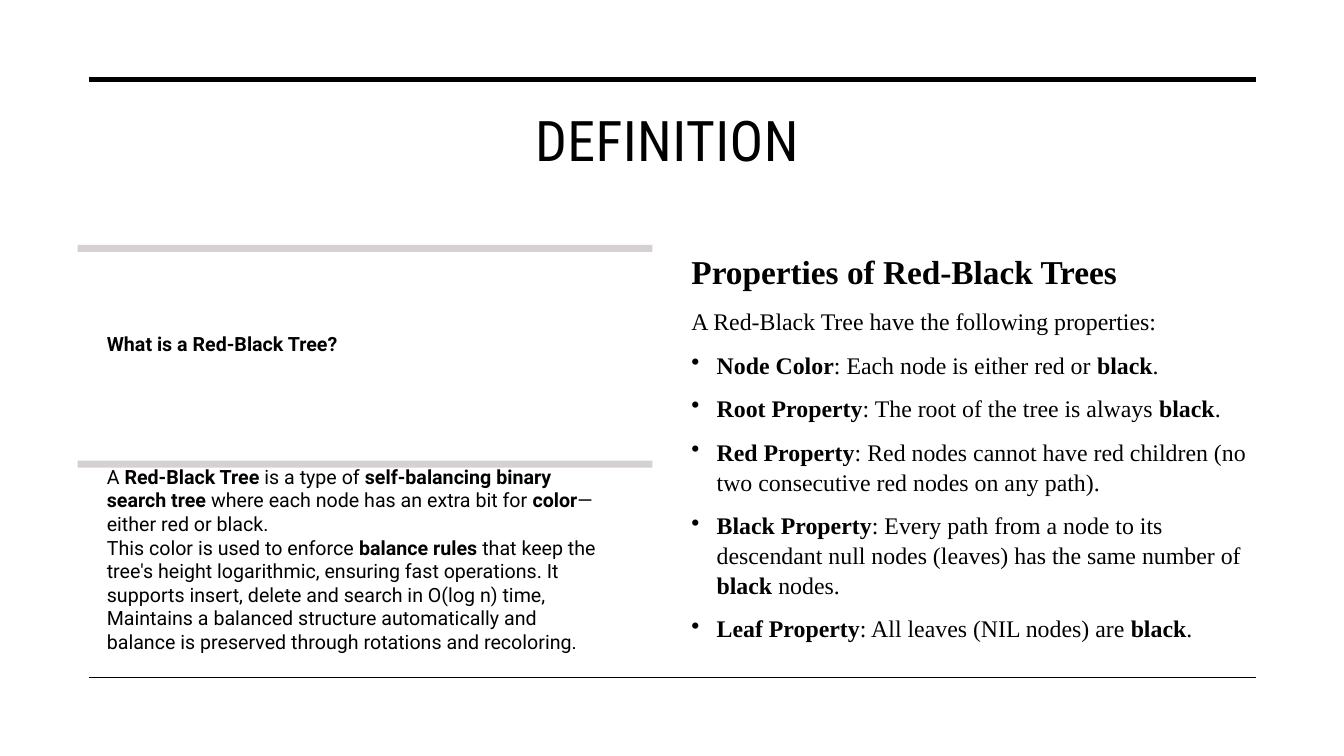
import pptx
import pptx.util
import pptx.dml.color
import pptx.enum.shapes
import pptx.enum.text
import pptx.oxml.ns
from lxml import etree

Inches, Pt = pptx.util.Inches, pptx.util.Pt
RGBColor = pptx.dml.color.RGBColor
ANCHOR = pptx.enum.text.MSO_ANCHOR
SHAPE = pptx.enum.shapes.MSO_SHAPE
qn = pptx.oxml.ns.qn

BLACK = RGBColor(0x00, 0x00, 0x00)
BAR_GREY = RGBColor(0xD5, 0xD0, 0xD3)

# Content: every paragraph alternates between regular and **bold** parts
TITLE = "DEFINITION"
SECTIONS = [
    "**What is a Red-Black Tree?**",
    "A **Red-Black Tree** is a type of **self-balancing binary search tree** where each node "
    "has an extra bit for **color**—either red or black.\n"
    "This color is used to enforce **balance rules** that keep the tree's height logarithmic, "
    "ensuring fast operations. It supports insert, delete and search in O(log n) time, "
    "Maintains a balanced structure automatically and balance is preserved through rotations "
    "and recoloring.",
]
HEADING = "**Properties of Red-Black Trees**"
INTRO = "A Red-Black Tree have the following properties:"
PROPERTIES = [
    "**Node Color**: Each node is either red or **black**.",
    "**Root Property**: The root of the tree is always **black**.",
    "**Red Property**: Red nodes cannot have red children (no two consecutive red nodes "
    "on any path).",
    "**Black Property**: Every path from a node to its descendant null nodes (leaves) has "
    "the same number of **black** nodes.",
    "**Leaf Property**: All leaves (NIL nodes) are **black**.",
]

# Layout in inches
LEFT, RIGHT = 0.77, 12.46
COLUMN_W = 5.7
BODY_TOP, SECTION_STEP, SECTION_H = 2.43, 2.14, 1.95
RULES = [(0.79, 3.5), (6.72, 1)]  # y, width in points

prs = pptx.Presentation()
prs.slide_width, prs.slide_height = Inches(13.33), Inches(7.5)
s = prs.slides.add_slide(prs.slide_layouts[6])


def add_rule(y, width):
    line = s.shapes.add_connector(pptx.enum.shapes.MSO_CONNECTOR.STRAIGHT,
                                  Inches(0.88), Inches(y), Inches(RIGHT), Inches(y))
    line.line.color.rgb = BLACK
    line.line.width = Pt(width)
    etree.SubElement(line._element.spPr, qn("a:effectLst"))


def add_text_box(x, y, w, h, anchor=ANCHOR.TOP, inset=None):
    tf = s.shapes.add_textbox(Inches(x), Inches(y), Inches(w), Inches(h)).text_frame
    tf.word_wrap = True
    tf.vertical_anchor = anchor
    if inset is not None:
        tf.margin_left = tf.margin_right = tf.margin_top = tf.margin_bottom = Inches(inset)
    return tf


def fill_paragraph(p, text, font, size):
    p.font.name, p.font.size, p.font.color.rgb = font, Pt(size), BLACK
    for i, part in enumerate(text.split("**")):
        for j, piece in enumerate(part.split("\n")):
            if j:
                p.add_line_break()
            if piece:
                r = p.add_run()
                r.text = piece
                r.font.bold = i % 2 == 1


def add_bullet(p):
    pPr = p._p.get_or_add_pPr()
    pPr.set("marL", str(Inches(0.25)))
    pPr.set("indent", str(-Inches(0.25)))
    bullet = etree.Element(qn("a:buChar"), char="•")
    pPr.find(qn("a:defRPr")).addprevious(bullet)


# Rules and title
for y, width in RULES:
    add_rule(y, width)
p = add_text_box(LEFT, 1, RIGHT - LEFT, 1.43).paragraphs[0]
p.alignment = pptx.enum.text.PP_ALIGN.CENTER
fill_paragraph(p, TITLE, "Roboto Condensed", 40)
p.runs[0].font._element.set("spc", "30")

# Left column: a grey bar above each section
for i, text in enumerate(SECTIONS):
    y = BODY_TOP + i * SECTION_STEP
    bar = s.shapes.add_shape(SHAPE.ROUNDED_RECTANGLE, Inches(LEFT), Inches(y),
                             Inches(COLUMN_W), Inches(0.07))
    bar.adjustments[0] = 0.1
    bar.shadow.inherit = False
    bar.fill.solid()
    bar.fill.fore_color.rgb = BAR_GREY
    bar.line.fill.background()
    tf = add_text_box(0.85, y, 5.33, SECTION_H, ANCHOR.MIDDLE, 0.21)
    fill_paragraph(tf.paragraphs[0], text, "Roboto", 14)

# Right column: heading, introduction and bulleted properties
tf = add_text_box(RIGHT - COLUMN_W, BODY_TOP, COLUMN_W, 4.09)
for i, text in enumerate([HEADING, INTRO] + PROPERTIES):
    p = tf.add_paragraph() if i else tf.paragraphs[0]
    p.space_before = Pt(10)
    p.line_spacing = 1.04
    fill_paragraph(p, text, "Times New Roman", 17 if i else 23.8)
    if i > 1:
        add_bullet(p)

prs.save("out.pptx")
